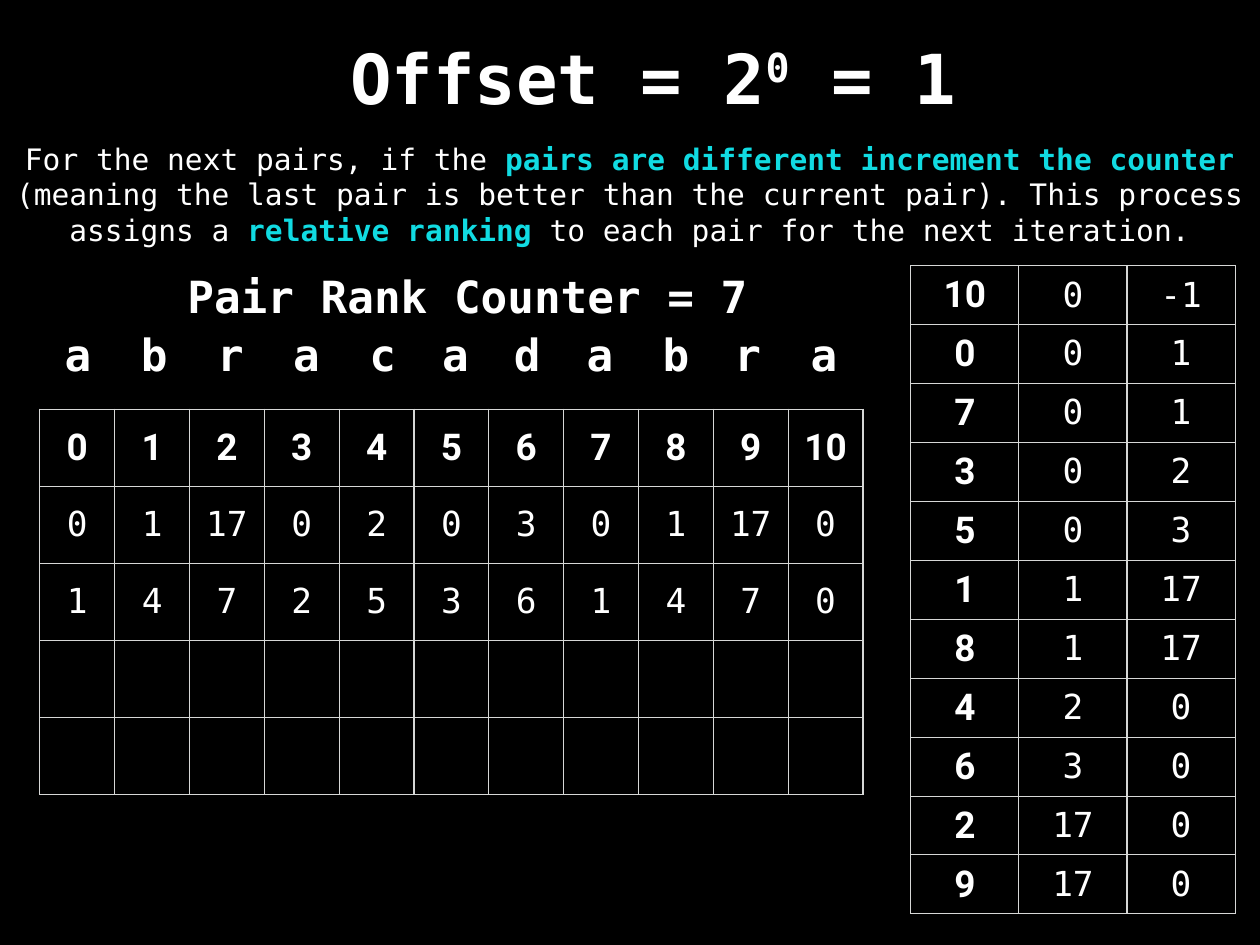
from dataclasses import dataclass

from lxml.etree import SubElement
from pptx import Presentation
from pptx.dml.color import RGBColor
from pptx.enum.text import MSO_ANCHOR, MSO_AUTO_SIZE, PP_ALIGN
from pptx.oxml import parse_xml
from pptx.oxml.ns import nsdecls, qn
from pptx.util import Inches, Pt


@dataclass(frozen=True)
class Theme:
    background: str = "000000"
    text: str = "FFFFFF"
    accent: str = "11DBE2"
    border: str = "D6D7D6"
    mono: str = "DejaVu Sans Mono"
    index_font: str = "Roboto"
    title_size: int = 56
    heading_size: int = 36
    index_size: int = 30
    value_size: int = 28
    body_size: int = 24
    inset: float = 0.06
    border_width: int = 1


THEME = Theme()

WORD = "abracadabra"
LETTER_LEFTS = [0.67, 1.53, 2.39, 3.25, 4.11, 4.93, 5.74, 6.56, 7.42, 8.23, 9.09]
RANK_ROWS = [
    list(range(len(WORD))),
    [0, 1, 17, 0, 2, 0, 3, 0, 1, 17, 0],
    [1, 4, 7, 2, 5, 3, 6, 1, 4, 7, 0],
    [""] * len(WORD),
    [""] * len(WORD),
]
SORTED_PAIRS = [
    [10, 0, -1],
    [0, 0, 1],
    [7, 0, 1],
    [3, 0, 2],
    [5, 0, 3],
    [1, 1, 17],
    [8, 1, 17],
    [4, 2, 0],
    [6, 3, 0],
    [2, 17, 0],
    [9, 17, 0],
]


def style_font(font, size, color=THEME.text, bold=False, name=THEME.mono):
    font.name = name
    font.size = Pt(size)
    font.bold = bold
    font.color.rgb = RGBColor.from_string(color)


def set_insets(target):
    target.margin_left = target.margin_right = Inches(THEME.inset)
    target.margin_top = target.margin_bottom = Inches(THEME.inset)
    target.vertical_anchor = MSO_ANCHOR.MIDDLE


def add_text(slide, box, pieces, size, wrap=True, align=PP_ALIGN.CENTER):
    text_frame = slide.shapes.add_textbox(*map(Inches, box)).text_frame
    set_insets(text_frame)
    text_frame.word_wrap = wrap
    text_frame.auto_size = MSO_AUTO_SIZE.SHAPE_TO_FIT_TEXT
    paragraph = text_frame.paragraphs[0]
    paragraph.alignment = align
    for text, color, bold in pieces:
        run = paragraph.add_run()
        run.text = text
        style_font(run.font, size, color, bold)
    return paragraph


def add_heading(slide, box, text, align=PP_ALIGN.CENTER):
    add_text(slide, box, [(text, THEME.text, True)], THEME.heading_size, False, align)


def set_borders(cell):
    properties = cell._tc.get_or_add_tcPr()
    for position, side in enumerate(("lnL", "lnR", "lnT", "lnB")):
        line = parse_xml(f'<a:{side} {nsdecls("a")} w="{Pt(THEME.border_width)}"/>')
        fill = SubElement(line, qn("a:solidFill"))
        SubElement(fill, qn("a:srgbClr"), val=THEME.border)
        properties.insert(position, line)


def fill_cell(cell, value, is_index):
    set_insets(cell)
    cell.fill.background()
    set_borders(cell)
    cell.text_frame.text = str(value)
    paragraph = cell.text_frame.paragraphs[0]
    paragraph.alignment = PP_ALIGN.CENTER
    for run in paragraph.runs:
        if is_index:
            style_font(run.font, THEME.index_size, bold=True, name=THEME.index_font)
        else:
            style_font(run.font, THEME.value_size)


def add_grid(slide, box, rows, index_in_row):
    left, top, width, height = map(Inches, box)
    row_count, column_count = len(rows), len(rows[0])
    table = slide.shapes.add_table(
        row_count, column_count, left, top, width, height
    ).table
    table.first_row = table.horz_banding = False
    for column in table.columns:
        column.width = width // column_count
    for row in table.rows:
        row.height = height // row_count
    for row_number, values in enumerate(rows):
        for column_number, value in enumerate(values):
            is_index = (row_number if index_in_row else column_number) == 0
            fill_cell(table.cell(row_number, column_number), value, is_index)


def add_title(slide):
    pieces = [(text, THEME.text, True) for text in ("Offset = 2", "0", " = 1")]
    paragraph = add_text(slide, (2.36, 0.36, 10.02, 1.01), pieces, THEME.title_size)
    paragraph.runs[1]._r.get_or_add_rPr().set("baseline", "32000")


def add_explanation(slide):
    pieces = [
        ("For the next pairs, if the ", THEME.text, False),
        ("pairs are different increment the counter", THEME.accent, True),
        (
            " (meaning the last pair is better than the current pair). "
            "This process assigns a ",
            THEME.text,
            False,
        ),
        ("relative ranking", THEME.accent, True),
        (" to each pair for the next iteration.", THEME.text, False),
    ]
    add_text(slide, (-0.15, 1.55, 14.51, 1.28), pieces, THEME.body_size)


def main():
    presentation = Presentation()
    presentation.slide_width = Inches(14.22)
    presentation.slide_height = Inches(10.67)
    slide = presentation.slides.add_slide(presentation.slide_layouts[6])
    background = slide.background.fill
    background.solid()
    background.fore_color.rgb = RGBColor.from_string(THEME.background)

    add_grid(slide, (0.45, 4.62, 9.29, 4.35), RANK_ROWS, index_in_row=True)
    for letter, left in zip(WORD, LETTER_LEFTS):
        add_heading(slide, (left, 3.66, 0.43, 0.68), letter, PP_ALIGN.LEFT)
    add_title(slide)
    add_grid(slide, (10.28, 3, 3.66, 7.32), SORTED_PAIRS, index_in_row=False)
    add_heading(slide, (2.05, 3, 6.45, 0.68), "Pair Rank Counter = 7")
    add_explanation(slide)

    presentation.save("out.pptx")


if __name__ == "__main__":
    main()
